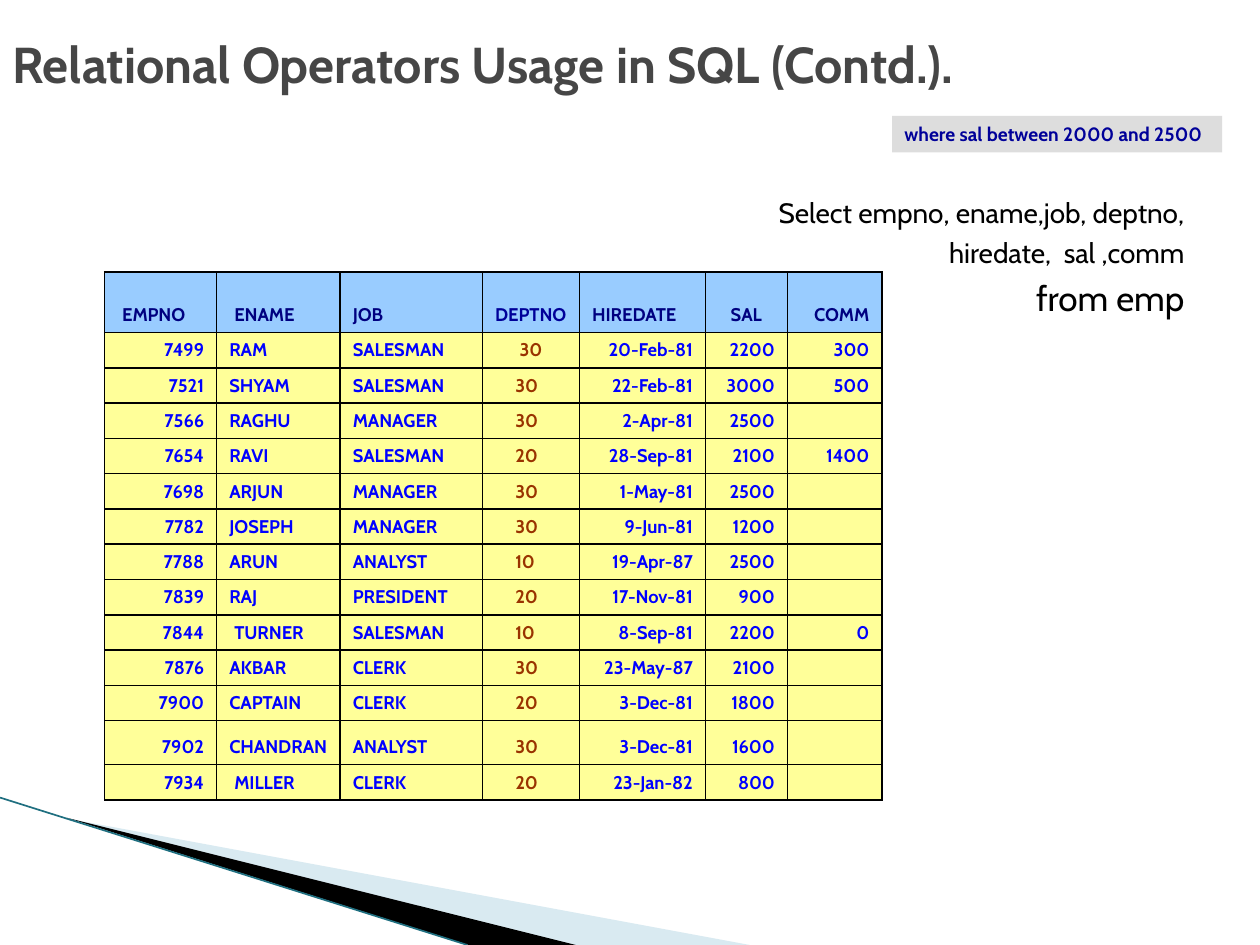
from lxml.etree import SubElement
from pptx import Presentation
from pptx.dml.color import RGBColor
from pptx.enum.shapes import MSO_CONNECTOR, MSO_SHAPE
from pptx.enum.text import MSO_ANCHOR, MSO_AUTO_SIZE, PP_ALIGN
from pptx.oxml.ns import qn
from pptx.util import Inches, Pt

FONT = "Cabin"
LEFT, JUSTIFY, CENTER, RIGHT = PP_ALIGN.LEFT, PP_ALIGN.JUSTIFY, PP_ALIGN.CENTER, PP_ALIGN.RIGHT
NAVY, BLUE, BROWN = "000080", "0000FF", "993300"
HEADER_FILL, BODY_FILL = "99CCFF", "FFFF99"

TITLE = "Relational Operators Usage in SQL (Contd.)."
CONDITION = "where sal between 2000 and 2500"
QUERY = [
    ("Select empno, ename,job, deptno,", 16),
    ("hiredate,  sal ,comm", 16),
    ("from emp", 20),
]

# heading, width, heading alignment, heading indent, heading colour,
# value alignment, value indent, value colour
COLUMNS = [
    ("EMPNO", 0.89, JUSTIFY, 0.04, NAVY, RIGHT, 0, BLUE),
    ("ENAME", 0.98, JUSTIFY, 0.04, NAVY, JUSTIFY, 0, BLUE),
    ("JOB", 1.13, JUSTIFY, 0, NAVY, JUSTIFY, 0, BLUE),
    ("DEPTNO", 0.77, JUSTIFY, 0, "000099", JUSTIFY, 0.16, BROWN),
    ("HIREDATE", 1.0, JUSTIFY, 0, NAVY, RIGHT, 0, BLUE),
    ("SAL", 0.65, JUSTIFY, 0.1, NAVY, RIGHT, 0, BLUE),
    ("COMM", 0.75, RIGHT, 0, NAVY, RIGHT, 0, BLUE),
]
EMPLOYEES = [
    ("7499", "RAM", "SALESMAN", "30", "20-Feb-81", "2200", "300"),
    ("7521", "SHYAM", "SALESMAN", "30", "22-Feb-81", "3000", "500"),
    ("7566", "RAGHU", "MANAGER", "30", "2-Apr-81", "2500", ""),
    ("7654", "RAVI", "SALESMAN", "20", "28-Sep-81", "2100", "1400"),
    ("7698", "ARJUN", "MANAGER", "30", "1-May-81", "2500", ""),
    ("7782", "JOSEPH", "MANAGER", "30", "9-Jun-81", "1200", ""),
    ("7788", "ARUN", "ANALYST", "10", "19-Apr-87", "2500", ""),
    ("7839", "RAJ", "PRESIDENT", "20", "17-Nov-81", "900", ""),
    ("7844", "TURNER", "SALESMAN", "10", "8-Sep-81", "2200", "0"),
    ("7876", "AKBAR", "CLERK", "30", "23-May-87", "2100", ""),
    ("7900", "CAPTAIN", "CLERK", "20", "3-Dec-81", "1800", ""),
    ("7902", "CHANDRAN", "ANALYST", "30", "3-Dec-81", "1600", ""),
    ("7934", "MILLER", "CLERK", "20", "23-Jan-82", "800", ""),
]
HEADER_HEIGHT, ROW_HEIGHT = 0.48, 0.28
TALL_ROWS = {"7902": 0.35}
INDENTED_NAMES = {"TURNER": 0.04, "MILLER": 0.04}
CENTERED_DEPTNO = "7499"

# points, fill, opacity in percent
WEDGES = [
    ([(0.55, 6.5), (5.95, 7.5), (4.56, 7.5)], "A0CBDC", 40),
    ([(0.53, 6.49), (4.57, 7.5), (3.72, 7.5)], "000000", 100),
]


def rgb(value):
    return RGBColor.from_string(value)


def write(paragraph, text, size, color, bold=False, align=LEFT):
    paragraph.alignment = align
    run = paragraph.add_run()
    run.text = text
    for attribute, value in {"name": FONT, "size": Pt(size), "bold": bold}.items():
        setattr(run.font, attribute, value)
    run.font.color.rgb = rgb(color)


def add_wedge(shapes, points, color, opacity):
    corners = [(Inches(x), Inches(y)) for x, y in points]
    builder = shapes.build_freeform(*corners[0])
    builder.add_line_segments(corners[1:], close=True)
    wedge = builder.convert_to_shape()
    wedge.shadow.inherit = False
    wedge.fill.solid()
    wedge.fill.fore_color.rgb = rgb(color)
    wedge.line.fill.background()
    if opacity < 100:
        solid_color = wedge._element.spPr.find(f".//{qn('a:srgbClr')}")
        SubElement(solid_color, qn("a:alpha"), val=str(opacity * 1000))


def add_edge(shapes):
    edge = shapes.add_connector(
        MSO_CONNECTOR.STRAIGHT, Inches(0), Inches(6.33), Inches(3.71), Inches(7.5))
    edge.line.color.rgb = rgb("1F6F80")
    edge.line.width = Pt(0.95)
    SubElement(edge._element.spPr, qn("a:effectLst"))


def add_text_area(shapes, left, top, width, height):
    frame = shapes.add_textbox(*map(Inches, (left, top, width, height))).text_frame
    frame.word_wrap = True
    return frame


def add_condition(shapes):
    condition = shapes.add_shape(
        MSO_SHAPE.RECTANGLE, *map(Inches, (7.08, 0.92, 2.62, 0.29)))
    condition.shadow.inherit = False
    condition.fill.solid()
    condition.fill.fore_color.rgb = rgb("DDDDDD")
    condition.line.fill.background()
    frame = condition.text_frame
    frame.word_wrap = True
    frame.auto_size = MSO_AUTO_SIZE.SHAPE_TO_FIT_TEXT
    write(frame.paragraphs[0], CONDITION, 11, "000099", bold=True)


def fill_cell(cell, text, align, indent, color, fill):
    cell.vertical_anchor = MSO_ANCHOR.BOTTOM
    cell.margin_left = Inches(0.1 + indent)
    cell.margin_right = Inches(0.05 if align == JUSTIFY else 0.1)
    properties = cell._tc.get_or_add_tcPr()
    for side in ("lnL", "lnR", "lnT", "lnB"):
        border = SubElement(properties, qn(f"a:{side}"), w=str(Pt(1)))
        SubElement(SubElement(border, qn("a:solidFill")), qn("a:srgbClr"), val="000000")
    cell.fill.solid()
    cell.fill.fore_color.rgb = rgb(fill)
    paragraph = cell.text_frame.paragraphs[0]
    if text:
        write(paragraph, text, 10.5, color, bold=True, align=align)
    else:
        SubElement(paragraph._p, qn("a:endParaRPr"), sz="1050")


def add_employee_table(shapes):
    heights = [HEADER_HEIGHT] + [TALL_ROWS.get(e[0], ROW_HEIGHT) for e in EMPLOYEES]
    widths = [column[1] for column in COLUMNS]
    table = shapes.add_table(
        len(heights), len(widths), Inches(0.83), Inches(2.16),
        Inches(sum(widths)), Inches(sum(heights))).table
    for row, height in zip(table.rows, heights):
        row.height = Inches(height)
    for c, column in enumerate(COLUMNS):
        heading, width, head_align, head_indent, head_color, align, indent, color = column
        table.columns[c].width = Inches(width)
        fill_cell(table.cell(0, c), heading, head_align, head_indent, head_color, HEADER_FILL)
        for r, employee in enumerate(EMPLOYEES, start=1):
            value = employee[c]
            place = (align, INDENTED_NAMES.get(value, indent))
            if heading == "DEPTNO" and employee[0] == CENTERED_DEPTNO:
                place = (CENTER, 0)
            fill_cell(table.cell(r, c), value, *place, color, BODY_FILL)


def main():
    deck = Presentation()
    deck.slide_width, deck.slide_height = Inches(10), Inches(7.5)
    shapes = deck.slides.add_slide(deck.slide_layouts[6]).shapes

    for wedge in WEDGES:
        add_wedge(shapes, *wedge)
    add_edge(shapes)

    query = add_text_area(shapes, 0.5, 1.5, 9, 5.5)
    for i, (line, size) in enumerate(QUERY):
        paragraph = query.add_paragraph() if i else query.paragraphs[0]
        if i:
            paragraph.space_before = Pt(4)
        write(paragraph, line, size, "000000", align=RIGHT)

    title = add_text_area(shapes, 0, 0, 8.27, 1)
    title.vertical_anchor = MSO_ANCHOR.MIDDLE
    write(title.paragraphs[0], TITLE, 28.8, "464646", bold=True)

    add_condition(shapes)
    add_employee_table(shapes)
    deck.save("out.pptx")


if __name__ == "__main__":
    main()
